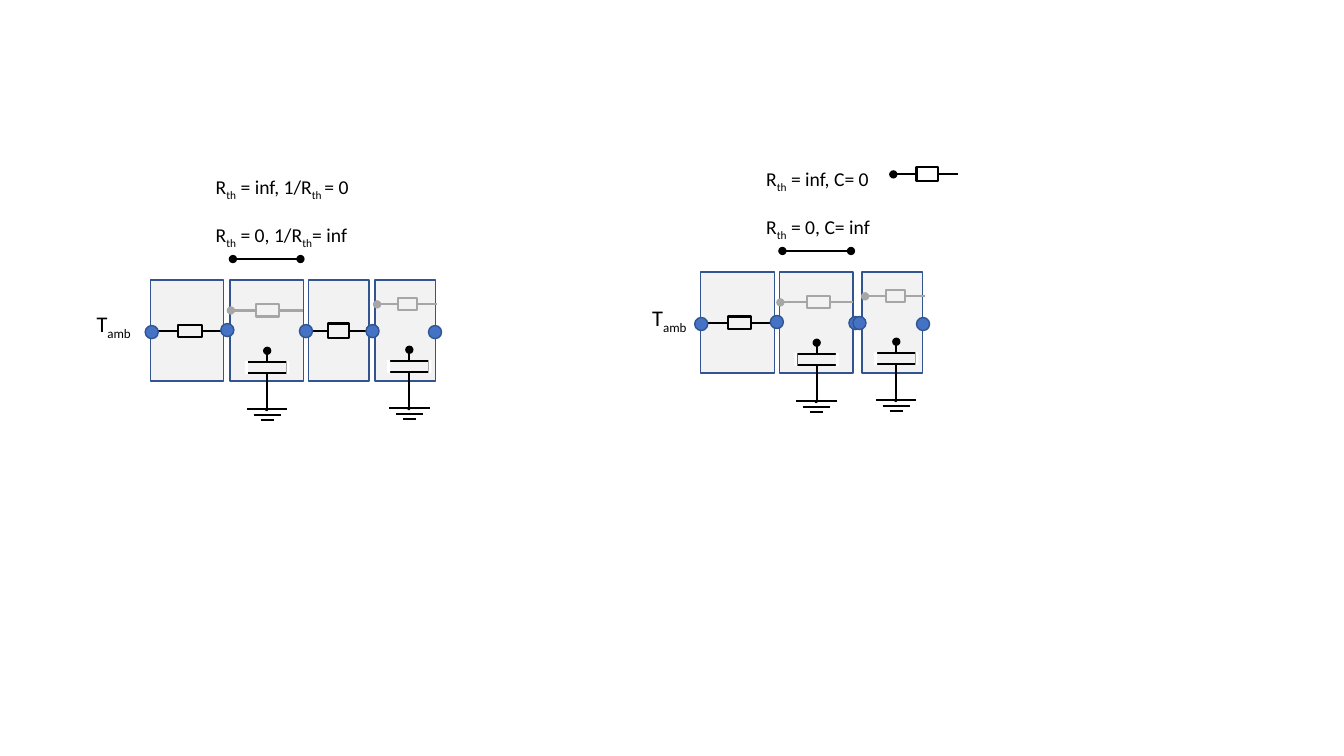
from lxml.etree import SubElement
from pptx import Presentation
from pptx.dml.color import RGBColor
from pptx.enum.shapes import MSO_CONNECTOR as CONN, MSO_SHAPE as SHAPE
from pptx.enum.text import MSO_AUTO_SIZE as AUTO
from pptx.oxml.ns import qn
from pptx.util import Inches, Pt

COLORS = {
    "black": "000000",
    "white": "FFFFFF",
    "grey": "A6A6A6",
    "panel": "F2F2F2",
    "node": "4472C4",
    "edge": "325491",
}


class Circuit:
    font = "Calibri"
    wire_width = 1.5
    edge_width = 1
    node_size = 0.13

    def __init__(self, slide):
        self.shapes = slide.shapes

    def color(self, name):
        return RGBColor.from_string(COLORS[name])

    def shape(self, parent, kind, x, y, w, h, fill=None, line=None, width=1.5):
        sp = parent.add_shape(kind, Inches(x), Inches(y), Inches(w), Inches(h))
        sp.shadow.inherit = False
        if fill:
            sp.fill.solid()
            sp.fill.fore_color.rgb = self.color(fill)
        else:
            sp.fill.background()
        if line:
            sp.line.color.rgb = self.color(line)
            sp.line.width = Pt(width)
        else:
            sp.line.fill.background()

    def wire(self, parent, x1, y1, x2, y2, color="black", ends=()):
        cn = parent.add_connector(
            CONN.STRAIGHT, Inches(x1), Inches(y1), Inches(x2), Inches(y2))
        cn.line.color.rgb = self.color(color)
        cn.line.width = Pt(self.wire_width)
        sp_pr = cn._element.spPr
        for end in ends:
            SubElement(sp_pr.find(qn("a:ln")), qn(f"a:{end}End"), type="oval")
        SubElement(sp_pr, qn("a:effectLst"))

    def panel(self, x, y, w):
        self.shape(self.shapes, SHAPE.RECTANGLE, x, y, w, 1,
                   "panel", "edge", self.edge_width)

    def node(self, x, y):
        self.shape(self.shapes, SHAPE.OVAL, x, y, self.node_size, self.node_size,
                   "node", "edge", self.edge_width)

    def resistor(self, left, right, y, x, w, h=0.12, color="black"):
        group = self.shapes.add_group_shape().shapes
        self.shape(group, SHAPE.RECTANGLE, x, y - h / 2, w, h, line=color)
        self.wire(group, left, y, x, y, color, ["head"])
        self.wire(group, right, y, x + w, y, color)

    def capacitor(self, x, y):
        group = self.shapes.add_group_shape().shapes
        self.shape(group, SHAPE.RECTANGLE, x, y, 0.4, 0.11, line="black")
        for dx in (-0.02, 0.39):
            self.shape(group, SHAPE.RECTANGLE, x + dx, y - 0.01, 0.03, 0.13, "white")
        middle = x + 0.2
        for dy, w in ((0.47, 0.4), (0.53, 0.27), (0.58, 0.13)):
            self.wire(group, middle - w / 2, y + dy, middle + w / 2, y + dy)
        self.shape(group, SHAPE.OVAL, x + 0.18, y + 0.46, 0.03, 0.03, "black")
        self.wire(group, middle, y - 0.11, middle, y, ends=["head"])
        self.wire(group, middle, y + 0.46, middle, y + 0.11)

    def label(self, x, y, w, h, size, *parts):
        tb = self.shapes.add_textbox(Inches(x), Inches(y), Inches(w), Inches(h))
        tf = tb.text_frame
        tf.word_wrap = True
        tf.auto_size = AUTO.SHAPE_TO_FIT_TEXT
        p = tf.paragraphs[0]
        for i, part in enumerate(parts):
            r = p.add_run()
            r.text = part
            r.font.name = self.font
            r.font.size = Pt(size)
            r.font.color.rgb = self.color("black")
            if i % 2:
                r._r.get_or_add_rPr().set("baseline", "-25000")

    def ambient(self, x, y):
        self.label(x, y, 0.65, 0.37, 16, "T", "amb")

    def formula(self, x, y, w, *parts):
        self.label(x, y, w, 0.34, 14, *parts)

    def short(self, x1, x2, y):
        self.wire(self.shapes, x1, y, x2, y, ends=["head", "tail"])


def draw_four_layers(c):
    for x, w in ((1.49, 0.73), (2.28, 0.73), (3.06, 0.6), (3.72, 0.6)):
        c.panel(x, 2.78, w)
    c.capacitor(2.45, 3.59)
    c.capacitor(3.86, 3.58)
    c.resistor(3.02, 3.66, 3.28, 3.25, 0.21, 0.14)
    c.resistor(1.51, 2.24, 3.28, 1.77, 0.23)
    for x, y in ((2.19, 3.21), (2.97, 3.22), (3.63, 3.22), (1.44, 3.23), (4.25, 3.23)):
        c.node(x, y)
    c.ambient(0.86, 3.03)
    c.short(2.31, 2.98, 2.57)
    c.formula(2.04, 2.16, 1.7, "R", "th", " = 0, 1/R", "th", "= inf")
    c.formula(2.04, 1.69, 1.58, "R", "th", " = inf, 1/R", "th ", "= 0")
    c.resistor(2.29, 3.01, 3.08, 2.54, 0.23, color="grey")
    c.resistor(3.74, 4.33, 3.02, 3.95, 0.19, color="grey")


def draw_three_layers(c):
    for x, w in ((6.95, 0.73), (7.73, 0.73), (8.55, 0.6)):
        c.panel(x, 2.7, w)
    c.capacitor(7.9, 3.51)
    c.capacitor(8.69, 3.5)
    c.resistor(8.86, 9.5, 1.73, 9.09, 0.21, 0.14)
    c.resistor(6.97, 7.69, 3.2, 7.22, 0.23)
    for x, y in ((7.64, 3.13), (8.42, 3.14), (8.46, 3.14), (6.89, 3.15), (9.09, 3.15)):
        c.node(x, y)
    c.ambient(6.37, 2.97)
    c.short(7.76, 8.44, 2.49)
    c.formula(7.5, 2.08, 1.46, "R", "th", " = 0, C= inf")
    c.formula(7.5, 1.61, 1.46, "R", "th", " = inf, C= 0")
    c.resistor(7.74, 8.46, 3, 8, 0.23, color="grey")
    c.resistor(8.58, 9.17, 2.94, 8.79, 0.19, color="grey")


def main():
    prs = Presentation()
    prs.slide_width = Inches(13.33)
    prs.slide_height = Inches(7.5)
    s = prs.slides.add_slide(prs.slide_layouts[6])
    circuit = Circuit(s)
    draw_four_layers(circuit)
    draw_three_layers(circuit)
    prs.save("out.pptx")


if __name__ == "__main__":
    main()
